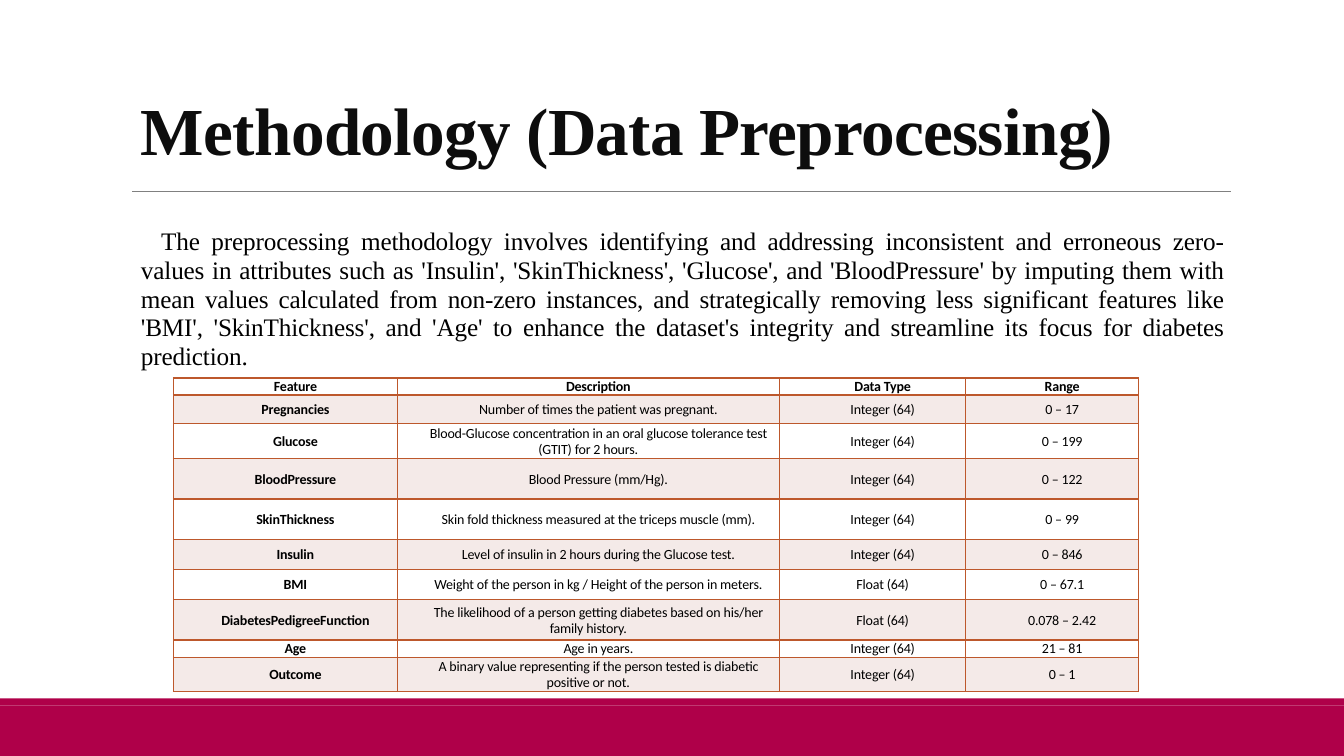
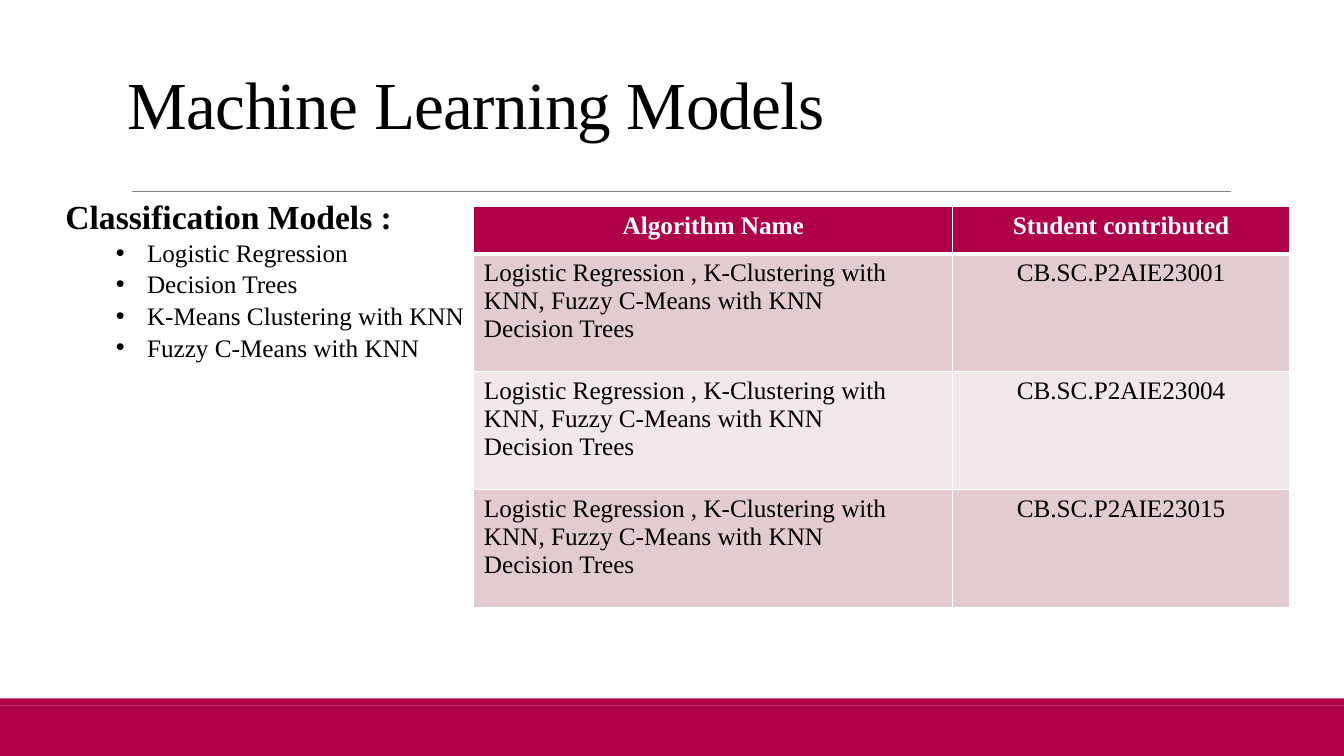
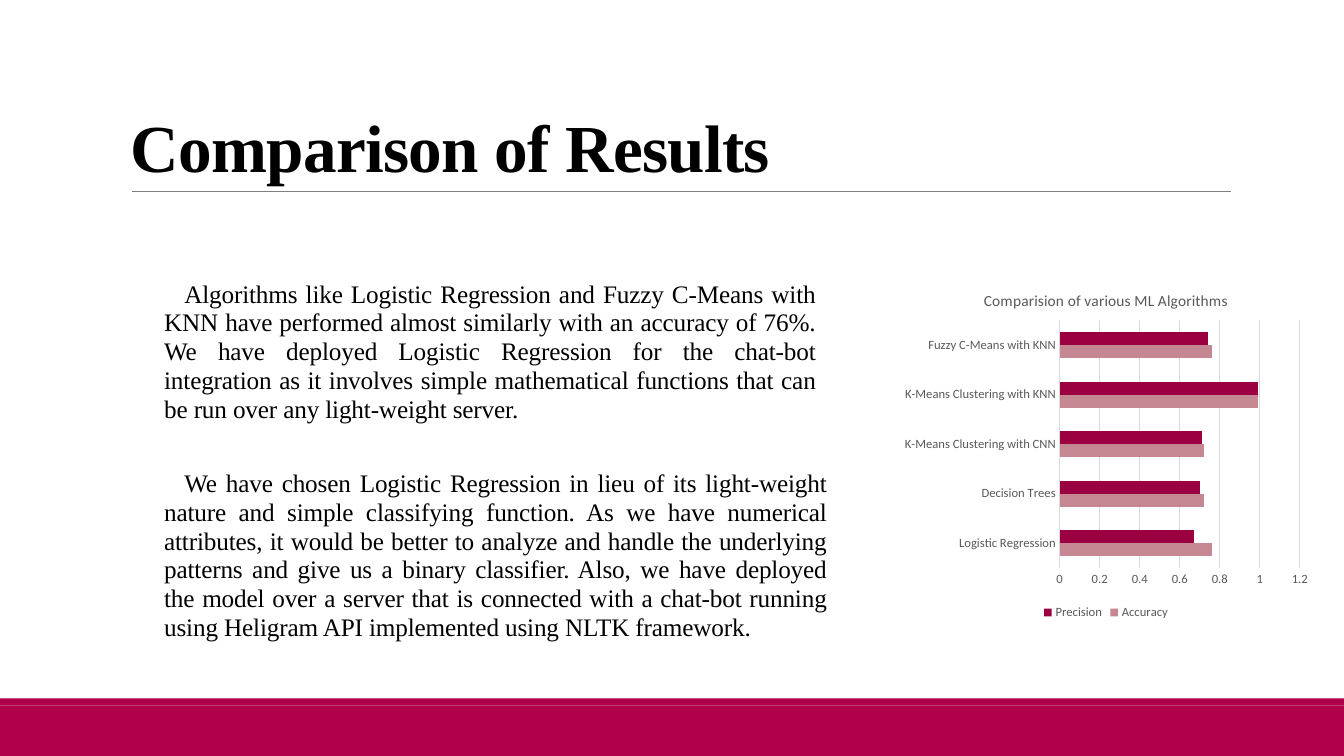
from lxml import etree
from pptx import Presentation
from pptx.chart.data import CategoryChartData
from pptx.dml.color import RGBColor
from pptx.enum.chart import XL_CHART_TYPE, XL_LEGEND_POSITION, XL_TICK_MARK
from pptx.enum.shapes import MSO_CONNECTOR, MSO_SHAPE
from pptx.enum.text import MSO_ANCHOR, PP_ALIGN
from pptx.oxml.ns import qn
from pptx.util import Emu, Pt

RECTANGLE = MSO_SHAPE.RECTANGLE
STRAIGHT = MSO_CONNECTOR.STRAIGHT
TOP, MIDDLE, BOTTOM = MSO_ANCHOR.TOP, MSO_ANCHOR.MIDDLE, MSO_ANCHOR.BOTTOM
LEFT, CENTER, JUSTIFY = PP_ALIGN.LEFT, PP_ALIGN.CENTER, PP_ALIGN.JUSTIFY
BAR_CLUSTERED = XL_CHART_TYPE.BAR_CLUSTERED
LEGEND_BOTTOM = XL_LEGEND_POSITION.BOTTOM
NO_TICK = XL_TICK_MARK.NONE

EMU_PER_PX = 9144
SLIDE_WIDTH, SLIDE_HEIGHT = 1333, 750
CRIMSON, WHITE, BLACK, NEAR_BLACK = "AF0049", "FFFFFF", "000000", "0D0D0D"
RULE_GRAY, CHART_GRAY, GRID_GRAY = "808080", "595959", "D9D9D9"
RUST, RUST_TINT = "BD582C", "F4EAE8"
ROSE, PALE_ROSE = "E3CCD0", "F2E7E9"
SERIF, SANS = "Times New Roman", "Calibri"

TITLE = {
    "font": {"name": SERIF, "size": Pt(48), "bold": True},
    "paragraph": {"line_spacing": 0.85},
    "tracking": -50,
}
BODY = {
    "font": {"name": SERIF, "size": Pt(18)},
    "paragraph": {"alignment": JUSTIFY, "line_spacing": 0.95, "space_after": Pt(6)},
    "tracking": -10,
    "first_indent": 20,
}
LIST_HEADING = {"font": {"name": SERIF, "size": Pt(24), "bold": True}}
LIST_ITEM = {
    "font": {"name": SERIF, "size": Pt(18)},
    "paragraph": {"space_before": Pt(1)},
    "margin": 81,
    "first_indent": -31,
    "bullet": "•",
}
FEATURE_CELL = {
    "font": {"name": SANS, "size": Pt(10), "bold": False},
    "paragraph": {"alignment": CENTER, "line_spacing": 0.95, "space_after": Pt(6)},
    "tracking": -10,
    "first_indent": 20,
}
FEATURE_BOLD = {**FEATURE_CELL, "font": {**FEATURE_CELL["font"], "bold": True}}
MODEL_CELL = {
    "font": {"name": SERIF, "size": Pt(18), "bold": False},
    "paragraph": {"alignment": LEFT},
}
MODEL_CENTERED = {**MODEL_CELL, "paragraph": {"alignment": CENTER}}
MODEL_HEADER = {
    "font": {"name": SERIF, "size": Pt(18), "bold": True},
    "paragraph": {"alignment": CENTER},
    "color": WHITE,
}

PREPROCESSING = (
    "The preprocessing methodology involves identifying and addressing inconsistent and "
    "erroneous zero-values in attributes such as 'Insulin', 'SkinThickness', 'Glucose', and "
    "'BloodPressure' by imputing them with mean values calculated from non-zero instances, "
    "and strategically removing less significant features like 'BMI', 'SkinThickness', and "
    "'Age' to enhance the dataset's integrity and streamline its focus for diabetes prediction."
)
FEATURES = [
    ("Feature", "Description", "Data Type", "Range"),
    ("Pregnancies", "Number of times the patient was pregnant.", "Integer (64)", "0 – 17"),
    ("Glucose", "Blood-Glucose concentration in an oral glucose tolerance test (GTIT) for 2 hours.",
     "Integer (64)", "0 – 199"),
    ("BloodPressure", "Blood Pressure (mm/Hg).", "Integer (64)", "0 – 122"),
    ("SkinThickness", "Skin fold thickness measured at the triceps muscle (mm).",
     "Integer (64)", "0 – 99"),
    ("Insulin", "Level of insulin in 2 hours during the Glucose test.", "Integer (64)", "0 – 846"),
    ("BMI", "Weight of the person in kg / Height of the person in meters.",
     "Float (64)", "0 – 67.1"),
    ("DiabetesPedigreeFunction",
     "The likelihood of a person getting diabetes based on his/her family history.",
     "Float (64)", "0.078 – 2.42"),
    ("Age", "Age in years.", "Integer (64)", "21 – 81"),
    ("Outcome", "A binary value representing if the person tested is diabetic positive or not.",
     "Integer (64)", "0 – 1"),
]
MODELS = ["Logistic Regression", "Decision Trees", "K-Means Clustering with KNN",
          "Fuzzy C-Means with KNN"]
CONTRIBUTION = "Logistic Regression , K-Clustering with KNN, Fuzzy C-Means with KNN\nDecision Trees"
STUDENTS = ["CB.SC.P2AIE23001", "CB.SC.P2AIE23004", "CB.SC.P2AIE23015"]
RESULTS = (
    "Algorithms like Logistic Regression and Fuzzy C-Means with KNN have performed almost "
    "similarly with an accuracy of 76%. We have deployed Logistic Regression for the chat-bot "
    "integration as it involves simple mathematical functions that can be run over any "
    "light-weight server."
)
CHOICE = (
    "We have chosen Logistic Regression in lieu of its light-weight nature and simple "
    "classifying function. As we have numerical attributes, it would be better to analyze and "
    "handle the underlying patterns and give us a binary classifier. Also, we have deployed the "
    "model over a server that is connected with a chat-bot running using Heligram API "
    "implemented using NLTK framework."
)
CHART_CATEGORIES = ["Logistic Regression", "Decision Trees", "K-Means Clustering with CNN",
                    "K-Means Clustering with KNN", "Fuzzy C-Means with KNN"]
CHART_SERIES = [
    ("Accuracy", "C58791", (0.76, 0.72, 0.72, 0.99, 0.76)),
    ("Precision", "9B0041", (0.67, 0.7, 0.71, 0.99, 0.74)),
]
PLOT_LAYOUT = {"x": 0.39, "y": 0.13, "w": 0.57, "h": 0.71}


def px(length):
    """Turn px into EMU."""
    return Emu(length * EMU_PER_PX)


def color(value):
    """Turn a hex string into a colour."""
    return RGBColor.from_string(value)


def set_values(target, values):
    """Set every attribute in values on target."""
    for name, value in values.items():
        setattr(target, name, value)


def write_paragraph(paragraph, text, style):
    """Write one run of text in the given style."""
    run = paragraph.add_run()
    run.text = text
    set_values(run.font, style["font"])
    run.font.color.rgb = color(style.get("color", BLACK))
    if "tracking" in style:
        run._r.get_or_add_rPr().set("spc", str(style["tracking"]))
    set_values(paragraph, style.get("paragraph", {}))
    properties = paragraph._p.get_or_add_pPr()
    properties.set("marL", str(px(style.get("margin", 0))))
    properties.set("indent", str(px(style.get("first_indent", 0))))
    if "bullet" in style:
        etree.SubElement(properties, qn("a:buFont")).set("typeface", "Arial")
        etree.SubElement(properties, qn("a:buChar")).set("char", style["bullet"])


def write_lines(text_frame, lines):
    """Write (text, style) pairs as the paragraphs of a text frame."""
    for index, (text, style) in enumerate(lines):
        paragraph = text_frame.add_paragraph() if index else text_frame.paragraphs[0]
        write_paragraph(paragraph, text, style)


def add_text(slide, box, lines, anchor=TOP):
    """Add a wrapping text box."""
    text_frame = slide.shapes.add_textbox(*map(px, box)).text_frame
    set_values(text_frame, {"word_wrap": True, "vertical_anchor": anchor})
    write_lines(text_frame, lines)


def add_band(slide, top, height):
    """Add a full-width crimson band."""
    shape = slide.shapes.add_shape(RECTANGLE, 0, px(top), px(SLIDE_WIDTH), px(height))
    shape.shadow.inherit = False
    shape.fill.solid()
    shape.fill.fore_color.rgb = color(CRIMSON)
    shape.line.fill.background()


def add_rule(slide, left, right, top):
    """Add a thin horizontal line."""
    connector = slide.shapes.add_connector(STRAIGHT, px(left), px(top), px(right), px(top))
    connector.line.color.rgb = color(RULE_GRAY)
    connector.line.width = Pt(0.5)
    etree.SubElement(connector._element.spPr, qn("a:effectLst"))


def add_slide(presentation, title, box, style):
    """Add a blank-layout slide with the shared bands, rule and title."""
    slide = presentation.slides.add_slide(presentation.slide_layouts[6])
    add_band(slide, 700, 50)
    add_band(slide, 693, 7)
    add_rule(slide, 131, 1221, 190)
    add_text(slide, box, [(title, style)], BOTTOM)
    return slide


def set_borders(cell, line_color, widths):
    """Draw the left, right, top and bottom borders of a cell."""
    properties = cell._tc.get_or_add_tcPr()
    for side, width in zip("LRTB", widths):
        line = etree.SubElement(properties, qn(f"a:ln{side}"), w=str(Pt(width)))
        fill = etree.SubElement(line, qn("a:solidFill"))
        etree.SubElement(fill, qn("a:srgbClr"), val=line_color)


def add_table(slide, origin, columns, rows, texts, look):
    """Add a table whose cell style and fill come from the look."""
    size = (sum(columns), sum(rows))
    frame = slide.shapes.add_table(len(rows), len(columns), *map(px, origin + size))
    table = frame.table
    set_values(table, {"first_row": False, "horz_banding": False})
    for column, width in zip(table.columns, columns):
        column.width = px(width)
    for row_index, (row, height) in enumerate(zip(table.rows, rows)):
        row.height = px(height)
        top = look["header_line"] if row_index == 1 else 1
        bottom = look["header_line"] if row_index == 0 else 1
        fill = look["fills"][row_index % 2] if row_index else look["header_fill"]
        for column_index, cell in enumerate(row.cells):
            style = look["style"](row_index, column_index)
            lines = texts[row_index][column_index].split("\n")
            write_lines(cell.text_frame, [(line, style) for line in lines])
            set_values(cell, look["cell"])
            set_borders(cell, look["line"], (1, 1, top, bottom))
            if fill:
                cell.fill.solid()
                cell.fill.fore_color.rgb = color(fill)
            else:
                cell.fill.background()


def feature_style(row, column):
    """Choose bold for the header row and the first column."""
    return FEATURE_BOLD if row == 0 or column == 0 else FEATURE_CELL


def model_style(row, column):
    """Choose header, left or centred style."""
    if row == 0:
        return MODEL_HEADER
    return MODEL_CENTERED if column else MODEL_CELL


FEATURE_LOOK = {
    "style": feature_style, "line": RUST, "header_line": 2,
    "header_fill": None, "fills": (None, RUST_TINT),
    "cell": {"vertical_anchor": MIDDLE, "margin_left": px(7), "margin_right": px(7),
             "margin_top": px(1), "margin_bottom": 0},
}
MODEL_LOOK = {
    "style": model_style, "line": WHITE, "header_line": 3,
    "header_fill": CRIMSON, "fills": (PALE_ROSE, ROSE),
    "cell": {"vertical_anchor": TOP},
}


def set_chart_font(font, size):
    """Give a chart font its name, size and grey colour."""
    set_values(font, {"name": SANS, "size": Pt(size), "bold": False})
    font.color.rgb = color(CHART_GRAY)


def set_plot_layout(chart):
    """Fix the inner plot area as fractions of the chart."""
    plot_area = chart._chartSpace.chart.plotArea
    for layout in plot_area.findall(qn("c:layout")):
        plot_area.remove(layout)
    layout = etree.Element(qn("c:layout"))
    plot_area.insert(0, layout)
    manual = etree.SubElement(layout, qn("c:manualLayout"))
    values = {"layoutTarget": "inner", "xMode": "edge", "yMode": "edge", **PLOT_LAYOUT}
    for name, value in values.items():
        etree.SubElement(manual, qn(f"c:{name}")).set("val", str(value))


def add_bar_chart(slide, box, title):
    """Add the clustered bar chart of the results."""
    data = CategoryChartData()
    data.categories = CHART_CATEGORIES
    for name, _, values in CHART_SERIES:
        data.add_series(name, values)
    chart = slide.shapes.add_chart(BAR_CLUSTERED, *map(px, box), data).chart
    set_chart_font(chart.font, 9)
    set_values(chart, {"has_title": True, "has_legend": True})
    title_frame = chart.chart_title.text_frame
    title_frame.text = title
    set_chart_font(title_frame.paragraphs[0].runs[0].font, 11)
    set_values(chart.legend, {"position": LEGEND_BOTTOM, "include_in_layout": False})
    set_chart_font(chart.legend.font, 9)
    plot = chart.plots[0]
    set_values(plot, {"gap_width": 182, "overlap": 0, "vary_by_categories": False})
    for series, (_, series_color, _) in zip(plot.series, CHART_SERIES):
        series.format.fill.solid()
        series.format.fill.fore_color.rgb = color(series_color)
    category_axis, value_axis = chart.category_axis, chart.value_axis
    for axis in (category_axis, value_axis):
        set_values(axis, {"major_tick_mark": NO_TICK, "minor_tick_mark": NO_TICK})
        set_chart_font(axis.tick_labels.font, 9)
    set_values(value_axis, {"minimum_scale": 0, "maximum_scale": 1.2, "major_unit": 0.2,
                            "has_major_gridlines": True})
    set_values(value_axis.tick_labels, {"number_format": "General",
                                        "number_format_is_linked": False})
    for line in (category_axis.format.line, value_axis.major_gridlines.format.line):
        line.color.rgb = color(GRID_GRAY)
        line.width = Pt(0.75)
    value_axis.format.line.fill.background()
    set_plot_layout(chart)


def build_preprocessing(presentation):
    """Build the data preprocessing slide."""
    slide = add_slide(presentation, "Methodology (Data Preprocessing)", (130, 82, 1010, 91),
                      {**TITLE, "color": NEAR_BLACK})
    add_text(slide, (130, 221, 1094, 154), [(PREPROCESSING, BODY)])
    add_table(slide, (172, 375), (222, 379, 185, 171),
              (17, 28, 35, 40, 40, 30, 30, 40, 17, 34), FEATURES, FEATURE_LOOK)


def build_models(presentation):
    """Build the machine learning models slide."""
    slide = add_slide(presentation, "Machine Learning Models", (117, 26, 1100, 121),
                      {**TITLE, "font": {**TITLE["font"], "bold": False}})
    items = [(model, LIST_ITEM) for model in MODELS]
    add_text(slide, (55, 189, 1269, 453), [("Classification Models :", LIST_HEADING)] + items)
    texts = [("Algorithm Name", "Student contributed")]
    texts += [(CONTRIBUTION, student) for student in STUDENTS]
    add_table(slide, (470, 205), (475, 334), (47, 117, 117, 117), texts, MODEL_LOOK)


def build_results(presentation):
    """Build the comparison of results slide."""
    slide = add_slide(presentation, "Comparison of Results", (120, 31, 1100, 159), TITLE)
    add_bar_chart(slide, (888, 273, 418, 346), "Comparision of various ML Algorithms")
    add_text(slide, (153, 461, 677, 183), [(CHOICE, BODY)])
    add_text(slide, (153, 273, 666, 154), [(RESULTS, BODY)])


def main():
    """Build and save the presentation."""
    presentation = Presentation()
    set_values(presentation, {"slide_width": px(SLIDE_WIDTH), "slide_height": px(SLIDE_HEIGHT)})
    build_preprocessing(presentation)
    build_models(presentation)
    build_results(presentation)
    presentation.save("out.pptx")


if __name__ == "__main__":
    main()
